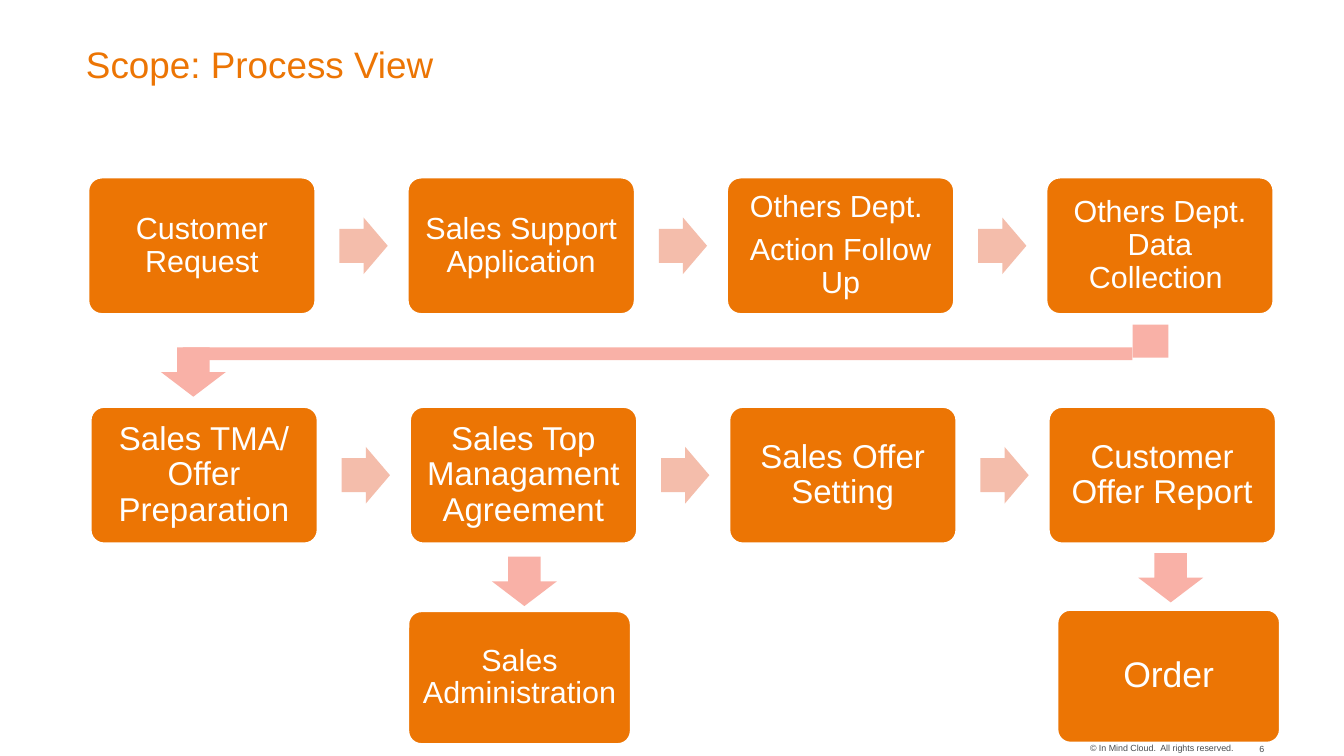
from pptx import Presentation
from pptx.dml.color import RGBColor
from pptx.enum.shapes import MSO_SHAPE
from pptx.enum.text import MSO_ANCHOR, PP_ALIGN
from pptx.util import Pt

ORANGE = RGBColor(0xEC, 0x75, 0x04)
PEACH = RGBColor(0xF4, 0xBD, 0xAB)
PINK = RGBColor(0xF9, 0xB1, 0xA7)
WHITE = RGBColor(0xFF, 0xFF, 0xFF)
GREY = RGBColor(0x48, 0x4C, 0x4F)
FONT = "Arial"

ROUND = MSO_SHAPE.ROUNDED_RECTANGLE
RECT = MSO_SHAPE.RECTANGLE
RIGHT = MSO_SHAPE.RIGHT_ARROW
DOWN = MSO_SHAPE.DOWN_ARROW
TOP, MIDDLE = MSO_ANCHOR.TOP, MSO_ANCHOR.MIDDLE
ALIGN_L, ALIGN_C, ALIGN_R = PP_ALIGN.LEFT, PP_ALIGN.CENTER, PP_ALIGN.RIGHT

STEP_W, STEP_H, PITCH = 179.3, 108, 251.5
END_W, END_H = 175.7, 105.1
HEAD_W, HEAD_H = 51.1, 38.9


def write(para, text, size, color, align):
    para.alignment = align
    run = para.add_run()
    run.text = text
    run.font.name = FONT
    run.font.size = Pt(size)
    run.font.color.rgb = color


def inset(frame, gap):
    frame.margin_left = frame.margin_right = Pt(gap)
    frame.margin_top = frame.margin_bottom = Pt(gap)


def block(slide, kind, x, y, w, h, color):
    shape = slide.shapes.add_shape(kind, Pt(x), Pt(y), Pt(w), Pt(h))
    shape.shadow.inherit = False
    shape.fill.solid()
    shape.fill.fore_color.rgb = color
    shape.line.fill.background()
    return shape


def step(slide, x, y, w, h, lines, size):
    shape = block(slide, ROUND, x, y, w, h, ORANGE)
    shape.adjustments[0] = 0.1
    shape.line.color.rgb = WHITE
    shape.line.width = Pt(2)
    frame = shape.text_frame
    frame.word_wrap = True
    frame.vertical_anchor = MIDDLE
    inset(frame, size * 0.3)
    for i, line in enumerate(lines):
        para = frame.add_paragraph() if i else frame.paragraphs[0]
        para.line_spacing = 0.9
        if i:
            para.space_before = Pt(size * 0.35)
        write(para, line, size, WHITE, ALIGN_C)


def chain(slide, x, y, steps, size):
    for i, lines in enumerate(steps):
        left = x + i * PITCH
        step(slide, left, y, STEP_W, STEP_H, lines, size)
        if i < len(steps) - 1:
            arrow = block(slide, RIGHT, left + 198, y + 31.7, 38, 44.6, PEACH)
            arrow.adjustments[0] = 0.6
            arrow.adjustments[1] = 0.5


def drop(slide, x, y):
    block(slide, DOWN, x, y, HEAD_W, HEAD_H, PINK)


def bend(slide, x, y, w):
    stub = 28.3
    start = x + 17.3
    block(slide, RECT, x + w - stub, y, stub, 26.1, PINK)
    block(slide, RECT, start, y + 18, x + w - stub - start, 10.1, PINK)
    drop(slide, x, y + 18)


def heading(slide, x, y, w, h, text):
    title = slide.shapes.title
    title.left, title.top, title.width, title.height = Pt(x), Pt(y), Pt(w), Pt(h)
    frame = title.text_frame
    frame.word_wrap = True
    frame.vertical_anchor = TOP
    inset(frame, 0)
    frame.margin_top = Pt(3)
    write(frame.paragraphs[0], text, 29, ORANGE, ALIGN_L)


def footer(slide, x, y, w, h, text):
    box = slide.shapes.add_textbox(Pt(x), Pt(y), Pt(w), Pt(h))
    frame = box.text_frame
    frame.word_wrap = False
    inset(frame, 0)
    write(frame.paragraphs[0], text, 7, GREY, ALIGN_R)


def main():
    deck = Presentation()
    deck.slide_width, deck.slide_height = Pt(1058.4), Pt(595.44)
    slide = deck.slides.add_slide(deck.slide_layouts[5])
    heading(slide, 67.7, 29.5, 633, 30.2, "Scope: Process View")
    footer(slide, 856, 584.6, 117.4, 8.6, "© In Mind Cloud.  All rights reserved. ")
    footer(slide, 987, 585.3, 8.6, 8.6, "6")
    chain(slide, 69.3, 139.6, [
        ["Customer Request"],
        ["Sales Support Application"],
        ["Others Dept. ", "Action Follow Up"],
        ["Others Dept. Data Collection "],
    ], 24)
    chain(slide, 71.1, 320.3, [
        ["Sales TMA/ Offer Preparation"],
        ["Sales Top Managament Agreement"],
        ["Sales Offer Setting"],
        ["Customer Offer Report"],
    ], 26)
    step(slide, 321.3, 481.2, END_W, END_H, ["Sales Administration"], 24)
    step(slide, 832.5, 480.1, END_W, END_H, ["Order"], 28)
    bend(slide, 126.7, 255.6, 793.5)
    drop(slide, 387.4, 438.5)
    drop(slide, 896.4, 435.6)
    deck.save("out.pptx")


if __name__ == "__main__":
    main()
